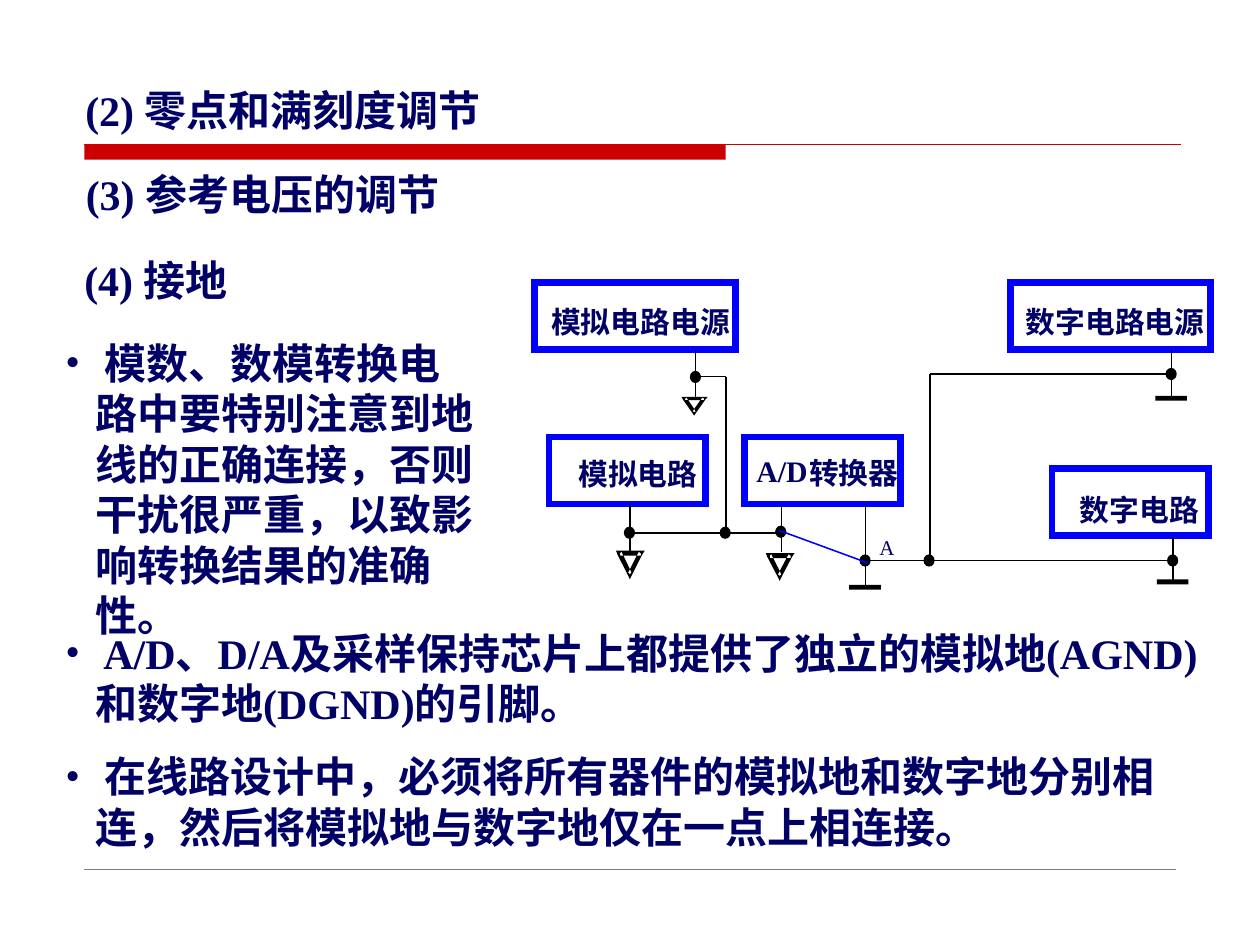
"""Build a slide on A/D converter adjustment and grounding."""
from lxml.etree import SubElement
from pptx import Presentation
from pptx.dml.color import RGBColor
from pptx.enum.shapes import MSO_CONNECTOR as LINK, MSO_SHAPE as SHAPE
from pptx.enum.text import PP_ALIGN as ALIGN
from pptx.oxml.ns import qn
from pptx.util import Cm, Pt

COLORS = {"red": "CC0000", "grey": "808080", "navy": "000066",
          "blue": "0000FF", "black": "000000", "white": "FFFFFF"}
FONT = "Times New Roman"

HEADINGS = [("(2) 零点和满刻度调节", 1.47, 1.57, 10.16),
            ("(3) 参考电压的调节", 1.48, 3.28, 10.16),
            ("(4) 接地", 1.45, 5, 5.79)]
BULLETS = [
    (" A/D、D/A及采样保持芯片上都提供了独立的模拟地(AGND)和数字地(DGND)的引脚。",
     12.52, 23.37, 2.29),
    (" 模数、数模转换电路中要特别注意到地线的正确连接，否则干扰很严重，以致影响转换结果的准确性。",
     6.68, 8.74, 6.35),
    (" 在线路设计中，必须将所有器件的模拟地和数字地分别相连，然后将模拟地与数字地仅在一点上相连接。",
     15.01, 23.37, 2.29)]
BLOCKS = [(10.77, 5.69, 4.06), (11.07, 8.81, 3.15), (15.01, 8.81, 3.15),
          (20.37, 5.69, 4.04), (21.21, 9.45, 3.15)]
LABELS = [("模拟电路电源", 11.11, 6.12, 3.7), ("模拟电路", 11.66, 9.19, 2.5),
          ("A/D", 15.25, 9.12, 1.1), ("转换器", 16.31, 9.17, 2),
          ("数字电路电源", 20.68, 6.12, 3.7), ("数字电路", 21.77, 9.91, 2.5)]
WIRES = [(14.02, 7.06, 14.02, 8.03), (14.63, 7.59, 13.97, 7.59),
         (14.63, 7.59, 14.63, 10.74), (12.7, 10.16, 12.7, 11.13),
         (15.7, 10.74, 12.65, 10.74), (15.75, 10.16, 15.75, 11.13),
         (17.45, 10.16, 17.45, 11.84), (17.48, 11.3, 23.6, 11.3),
         (23.62, 7.06, 23.62, 8.03), (18.75, 7.54, 18.75, 11.28),
         (18.75, 7.54, 23.5, 7.54), (23.65, 10.82, 23.65, 11.73)]
JUNCTIONS = [(14.02, 7.6), (14.62, 10.74), (15.74, 10.72), (17.44, 11.3),
             (18.73, 11.3), (23.61, 7.54), (23.64, 11.3), (12.69, 10.74)]
ANALOG_GROUNDS = [(13.74, 8, 0.53, 0.38), (12.42, 11.1, 0.58, 0.58),
                  (15.44, 11.15, 0.58, 0.56)]
DIGITAL_GROUNDS = [(17.12, 11.79), (23.29, 7.98), (23.32, 11.68)]
BACKING = [[(0.14, 0.09), (0.86, 0.09), (0.5, 0.82)]]
OUTLINE = [
    [(0.19, 0.04), (0.14, 0.09), (0.14, 0.18), (0.86, 0.18), (0.86, 0.09),
     (0.79, 0.04), (0.42, 0.77), (0.48, 0.82), (0.54, 0.77)],
    [(0.42, 0.87), (0.48, 1), (0.54, 0.87), (0.91, 0.14), (1, 0), (0, 0),
     (0.05, 0.14)]]


def rgb(name):
    """Return the named colour."""
    return RGBColor.from_string(COLORS[name])


def paint(shape, fill, line=None, width=1):
    """Set fill and a sharp-cornered outline and take off the shadow."""
    shape.shadow.inherit = False
    shape.fill.solid()
    shape.fill.fore_color.rgb = rgb(fill)
    if line:
        shape.line.color.rgb = rgb(line)
        shape.line.width = Pt(width)
        SubElement(shape.line._get_or_add_ln(), qn("a:miter"), lim="800000")
    else:
        shape.line.fill.background()


def add_figure(page, kind, place, fill, line=None, width=1):
    """Add a preset shape at a place given in centimetres."""
    shape = page.shapes.add_shape(kind, *map(Cm, place))
    paint(shape, fill, line, width)
    return shape


def add_wire(page, ends, color="black", width=0.88):
    """Add a straight line between two points."""
    wire = page.shapes.add_connector(LINK.STRAIGHT, *map(Cm, ends))
    wire.line.color.rgb = rgb(color)
    wire.line.width = Pt(width)
    SubElement(wire._element.spPr, qn("a:effectLst"))


def add_contours(page, place, contours, fill):
    """Add a freeform from contours given as fractions of its place."""
    left, top, width, height = place
    loops = [[(Cm(left + x * width), Cm(top + y * height)) for x, y in contour]
             for contour in contours]
    builder = page.shapes.build_freeform(*loops[0][0])
    builder.add_line_segments(loops[0][1:], close=True)
    for loop in loops[1:]:
        builder.move_to(*loop[0])
        builder.add_line_segments(loop[1:], close=True)
    paint(builder.convert_to_shape(), fill)


def add_text(page, text, place, size=24, bold=True, wrap=True, align=ALIGN.LEFT):
    """Add a one-paragraph text box and return its paragraph."""
    box = page.shapes.add_textbox(*map(Cm, place))
    frame = box.text_frame
    frame.word_wrap = wrap
    if not wrap:
        for side in ("left", "top", "right", "bottom"):
            setattr(frame, f"margin_{side}", 0)
    para = frame.paragraphs[0]
    para.alignment = align
    span = para.add_run()
    span.text = text
    for name, value in {"name": FONT, "size": Pt(size), "bold": bold}.items():
        setattr(span.font, name, value)
    span.font.color.rgb = rgb("navy")
    return para


def add_bullet(page, text, top, width, height):
    """Add a text box with one bulleted, hanging paragraph."""
    para = add_text(page, text, (1.07, top, width, height))
    props = para._p.get_or_add_pPr()
    for name, value in {"marL": Cm(0.6), "indent": Cm(-0.6), "hangingPunct": 0}.items():
        props.set(name, str(value))
    SubElement(props, qn("a:buFont"), typeface=FONT)
    SubElement(props, qn("a:buChar"), char="•")


def add_circuit(page):
    """Draw the grounding diagram."""
    panel = add_figure(page, SHAPE.ROUNDED_RECTANGLE, (10.44, 5.18, 14.43, 7.06), "white")
    panel.adjustments[0] = 0.17
    for left, top, width in BLOCKS:
        add_figure(page, SHAPE.RECTANGLE, (left, top, width, 1.35), "white", "blue", 3.88)
    for ends in WIRES:
        add_wire(page, ends)
    for x, y in JUNCTIONS:
        add_figure(page, SHAPE.OVAL, (x - 0.09, y - 0.1, 0.18, 0.2), "black", "black", 1.25)
    add_wire(page, (15.7, 10.69, 17.5, 11.35), "blue")
    for place in ANALOG_GROUNDS:
        add_contours(page, place, BACKING, "white")
        add_contours(page, place, OUTLINE, "black")
    for left, top in DIGITAL_GROUNDS:
        add_figure(page, SHAPE.RECTANGLE, (left, top, 0.64, 0.1), "black")
    for text, left, top, width in LABELS:
        add_text(page, text, (left, top, width, 0.71), 17, wrap=False)
    add_text(page, "A", (17.73, 10.77, 0.4, 0.51), 12, bold=False, wrap=False)


def main():
    """Build and save the deck."""
    deck = Presentation()
    deck.slide_width, deck.slide_height = Cm(25.4), Cm(19.05)
    page = deck.slides.add_slide(deck.slide_layouts[6])
    add_figure(page, SHAPE.RECTANGLE, (1.7, 2.92, 12.93, 0.3), "red")
    add_wire(page, (1.7, 2.92, 23.8, 2.92), "red", 0.75)
    add_wire(page, (1.7, 17.53, 23.7, 17.53), "grey", 0.25)
    for text, left, top, width in HEADINGS:
        add_text(page, text, (left, top, width, 1.27), align=ALIGN.JUSTIFY)
    add_circuit(page)
    for bullet in BULLETS:
        add_bullet(page, *bullet)
    deck.save("out.pptx")


if __name__ == "__main__":
    main()
